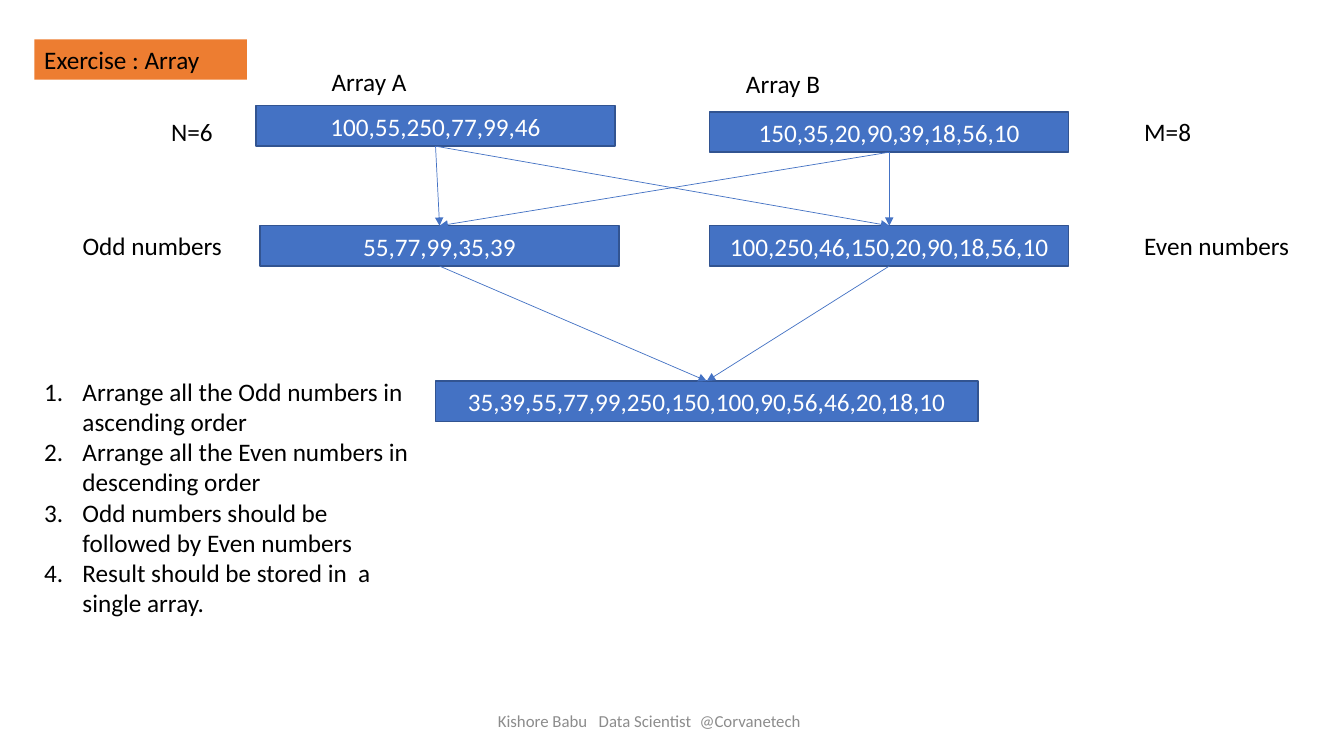
from pptx import Presentation, util as u
from pptx.dml.color import RGBColor
from pptx.enum import shapes, text
from pptx.oxml.ns import qn
from lxml import etree

COLORS = {"box": "4472C4", "edge": "325491", "title": "ED7D31",
          "ink": "000000", "light": "FFFFFF", "footer": "8C8C8C"}
FONT = "Calibri"
ROW_HEIGHT, ARRAY_WIDTH = 0.4, 3.56
COLUMNS = {"margin": 0.34, "a": 2.54, "odd": 2.58, "b": 7.04, "right": 11.25}
ROWS = {"title": 0.39, "a": 1.05, "b": 1.11, "split": 2.24, "result": 3.78}

TITLE = "Exercise : Array"
ARRAYS = {
    "a": ("100,55,250,77,99,46", COLUMNS["a"], ROWS["a"], ARRAY_WIDTH),
    "b": ("150,35,20,90,39,18,56,10", COLUMNS["b"], ROWS["b"], ARRAY_WIDTH),
    "odd": ("55,77,99,35,39", COLUMNS["odd"], ROWS["split"], ARRAY_WIDTH),
    "even": ("100,250,46,150,20,90,18,56,10", COLUMNS["b"], ROWS["split"], ARRAY_WIDTH),
    "result": ("35,39,55,77,99,250,150,100,90,56,46,20,18,10", 4.32, ROWS["result"], 5.38),
}
ARROWS = [("a", "odd"), ("b", "even"), ("odd", "result"),
          ("even", "result"), ("b", "odd"), ("a", "even")]
LABELS = [
    ("Array A", 3.19, 0.61, 1.59),
    ("Array B", 7.3, 0.63, 1.59),
    ("N=6", 1.6, ROWS["b"], 1.14),
    ("M=8", COLUMNS["right"], ROWS["b"], 1.14),
    ("Odd numbers", 0.72, ROWS["split"], 1.59),
    ("Even numbers", COLUMNS["right"], ROWS["split"], 1.89),
]
STEPS = ["Arrange all the Odd numbers in ascending order",
         "Arrange all the Even numbers in descending order",
         "Odd numbers should be followed by Even numbers",
         "Result should be stored in  a single array."]
FOOTER = ["Kishore Babu", "Data Scientist", "@Corvanetech"]
FOOTER_START, FOOTER_STEP = 0.42, 1.22


def color(name):
    return RGBColor.from_string(COLORS[name])


def write(shape, lines, ink="ink", size=18, align=text.PP_ALIGN.LEFT,
          anchor=text.MSO_ANCHOR.TOP):
    frame = shape.text_frame
    frame.word_wrap = True
    frame.vertical_anchor = anchor
    frame.text = "\n".join(lines)
    for paragraph in frame.paragraphs:
        paragraph.alignment = align
        for run in paragraph.runs:
            run.font.name = FONT
            run.font.size = u.Pt(size)
            run.font.color.rgb = color(ink)
    return frame


def add_text(slide, lines, left, top, width, height=ROW_HEIGHT, **style):
    box = slide.shapes.add_textbox(*map(u.Inches, (left, top, width, height)))
    return write(box, lines, **style)


def add_box(slide, line, left, top, width, fill, edge=None, **style):
    shape = slide.shapes.add_shape(shapes.MSO_SHAPE.RECTANGLE,
                                   *map(u.Inches, (left, top, width, ROW_HEIGHT)))
    shape.shadow.inherit = False
    shape.fill.solid()
    shape.fill.fore_color.rgb = color(fill)
    if edge:
        shape.line.color.rgb = color(edge)
        shape.line.width = u.Pt(1)
    else:
        shape.line.fill.background()
    write(shape, [line], **style)
    return shape


def add_arrow(slide, start, end):
    arrow = slide.shapes.add_connector(shapes.MSO_CONNECTOR.STRAIGHT, 0, 0, 0, 0)
    arrow.begin_connect(start, 2)
    arrow.end_connect(end, 0)
    arrow.line.color.rgb = color("box")
    arrow.line.width = u.Pt(0.5)
    properties = arrow._element.spPr
    etree.SubElement(properties.find(qn("a:ln")), qn("a:tailEnd"), type="triangle")
    etree.SubElement(properties, qn("a:effectLst"))


def number_steps(frame):
    for paragraph in frame.paragraphs:
        properties = paragraph._p.get_or_add_pPr()
        properties.set("marL", str(u.Inches(0.38)))
        properties.set("indent", str(-u.Inches(0.38)))
        etree.SubElement(properties, qn("a:buFont"), typeface="+mj-lt")
        etree.SubElement(properties, qn("a:buAutoNum"), type="arabicPeriod")


def space_footer(frame):
    properties = frame.paragraphs[0]._p.get_or_add_pPr()
    properties.set("marL", str(u.Inches(FOOTER_START)))
    properties.set("indent", "0")
    tabs = etree.SubElement(properties, qn("a:tabLst"))
    for index in range(1, len(FOOTER)):
        position = u.Inches(FOOTER_START + index * FOOTER_STEP)
        etree.SubElement(tabs, qn("a:tab"), pos=str(position), algn="l")


def main():
    presentation = Presentation()
    presentation.slide_width = u.Inches(13.33)
    presentation.slide_height = u.Inches(7.5)
    slide = presentation.slides.add_slide(presentation.slide_layouts[6])

    space_footer(add_text(slide, ["\t".join(FOOTER)], 4.42, 6.95, 4.5, ink="footer",
                          size=12, anchor=text.MSO_ANCHOR.MIDDLE))
    add_box(slide, TITLE, COLUMNS["margin"], ROWS["title"], 2.11, "title")
    boxes = {name: add_box(slide, *array, "box", "edge", ink="light",
                           align=text.PP_ALIGN.CENTER, anchor=text.MSO_ANCHOR.MIDDLE)
             for name, array in ARRAYS.items()}
    for label, left, top, width in LABELS:
        add_text(slide, [label], left, top, width)
    for start, end in ARROWS:
        add_arrow(slide, boxes[start], boxes[end])
    number_steps(add_text(slide, STEPS, COLUMNS["margin"], 3.68, 3.94, 2.52))

    presentation.save("out.pptx")


if __name__ == "__main__":
    main()
